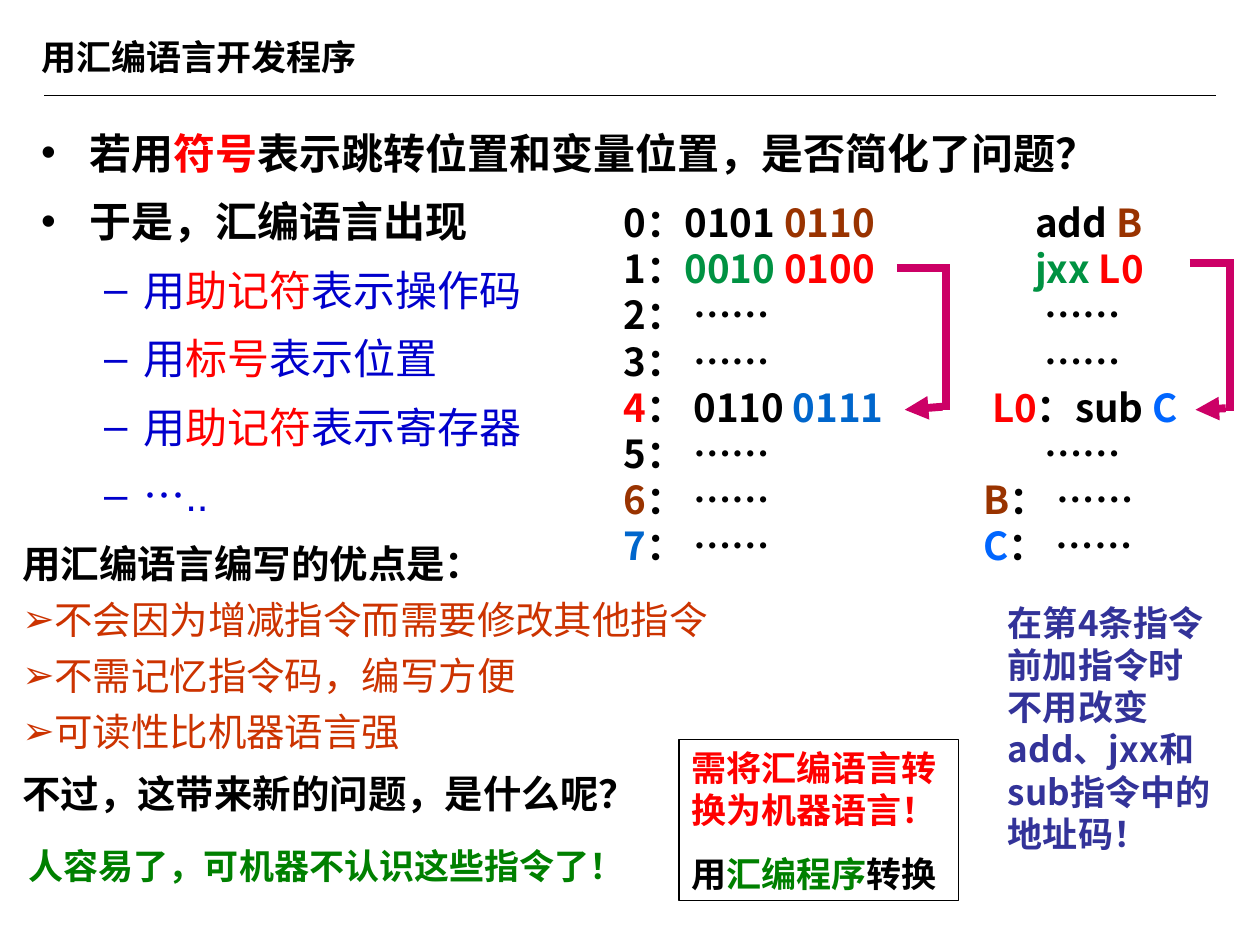
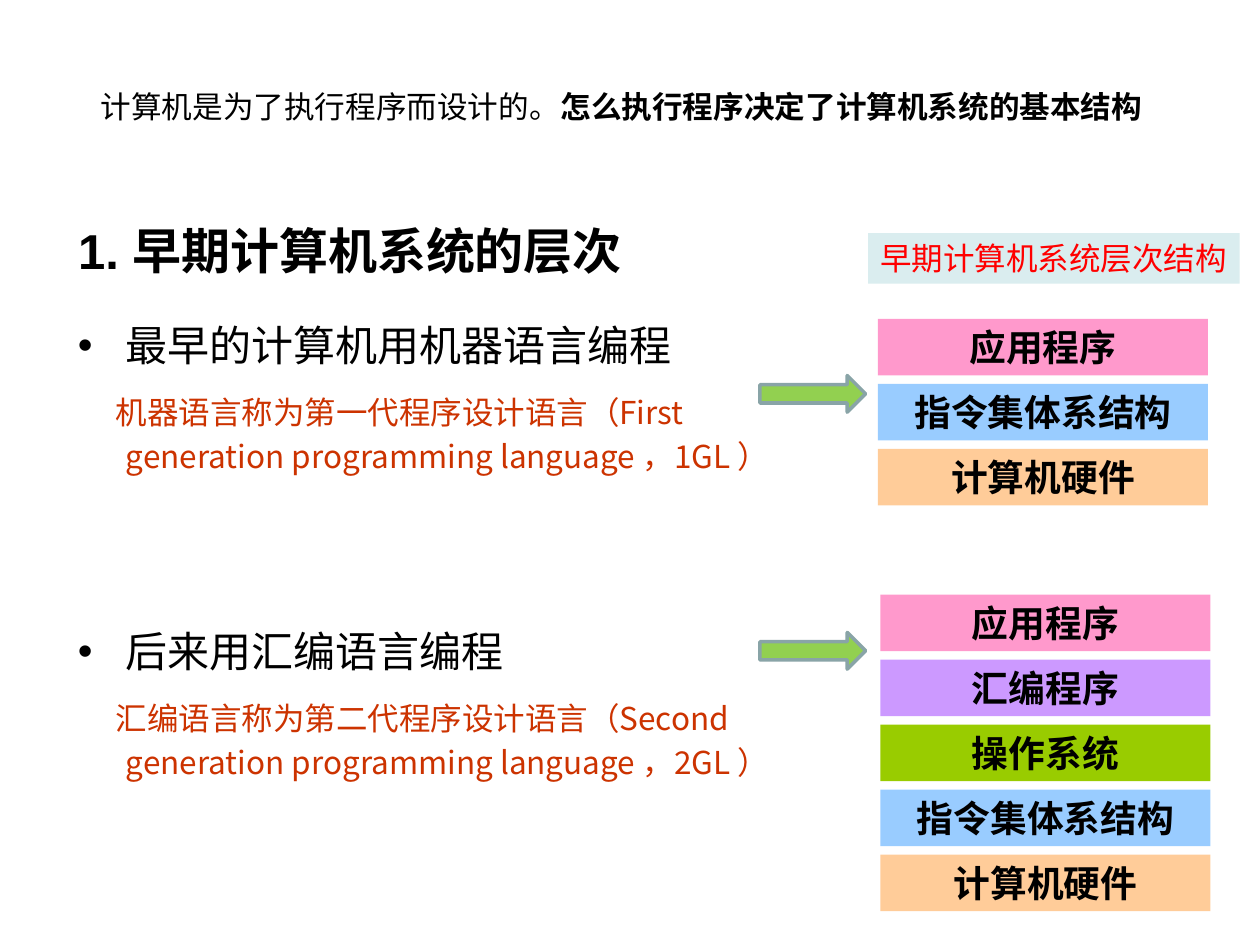
"""Build two slides on assembly language and the layers of early computer systems."""
from dataclasses import dataclass

from lxml.etree import SubElement
from pptx import Presentation
from pptx.dml.color import RGBColor
from pptx.enum.shapes import MSO_CONNECTOR, MSO_SHAPE
from pptx.enum.text import MSO_ANCHOR, MSO_AUTO_SIZE, PP_ALIGN
from pptx.oxml.ns import qn
from pptx.util import Cm, Pt


@dataclass(frozen=True)
class Theme:
    latin: str = "Arial"
    cjk: str = "Noto Sans CJK SC"
    black: str = "000000"
    white: str = "FFFFFF"
    red: str = "FF0000"
    blue: str = "0000CC"
    brown: str = "993300"
    rust: str = "CC3300"
    opcode: str = "009242"
    green: str = "008000"
    address: str = "0066CC"
    variable: str = "0066FF"
    indigo: str = "333399"
    jump: str = "CC0066"
    application: str = "FF99CC"
    instruction_set: str = "99CCFF"
    hardware: str = "FFCC99"
    assembler: str = "CC99FF"
    system: str = "99CC00"
    tag: str = "DAEDEF"
    arrow: str = "92D050"
    arrow_edge: str = "89A4A7"
    heading: float = 28
    body: float = 24
    code: float = 22
    layer: float = 21
    note: float = 20
    small: float = 18
    banner: float = 17.5


theme = Theme()


def write(frame, lines, size, bold=True, font=theme.latin, margin=0, hang=0,
          bullet="", spacing=1.0, before=0, align=PP_ALIGN.LEFT):
    """Append lines, each a list of (text, colour) spans, in one paragraph style."""
    for spans in lines:
        first = not frame.paragraphs[0].runs
        para = frame.paragraphs[0] if first else frame.add_paragraph()
        properties = para._p.get_or_add_pPr()
        properties.set("marL", str(Cm(margin)))
        properties.set("indent", str(Cm(-hang)))
        if bullet:
            colour = SubElement(properties, qn("a:buClr"))
            SubElement(colour, qn("a:srgbClr"), val=spans[0][1])
            SubElement(properties, qn("a:buFont"), typeface=theme.latin)
            SubElement(properties, qn("a:buChar"), char=bullet)
        para.alignment = align
        para.line_spacing = spacing
        para.space_before = Pt(0 if first else before)
        for text, colour in spans:
            span = para.add_run()
            span.text = text
            span.font.size = Pt(size)
            span.font.bold = bold
            span.font.name = font
            span.font.color.rgb = RGBColor.from_string(colour)
            SubElement(span._r.get_or_add_rPr(), qn("a:ea"), typeface=theme.cjk)


def add_box(page, left, top, width, height, kind=None, fill=None, edge=None, edge_width=0.75):
    """Add a text box, or a preset shape when a kind is given, and return its text frame."""
    place = Cm(left), Cm(top), Cm(width), Cm(height)
    if kind is None:
        box = page.shapes.add_textbox(*place)
    else:
        box = page.shapes.add_shape(kind, *place)
        box.shadow.inherit = False
        box.text_frame.vertical_anchor = MSO_ANCHOR.MIDDLE
        if fill:
            box.fill.solid()
            box.fill.fore_color.rgb = RGBColor.from_string(fill)
        else:
            box.fill.background()
        if edge:
            box.line.color.rgb = RGBColor.from_string(edge)
            box.line.width = Pt(edge_width)
        else:
            box.line.fill.background()
    box.text_frame.word_wrap = True
    return box.text_frame


deck = Presentation()
deck.slide_width, deck.slide_height = Cm(25.4), Cm(19.05)

titles = [
    ("用汇编语言开发程序", theme.note, 0.8, (0.58, 0.64, 22.86, 1.17)),
    ("1. 早期计算机系统的层次", theme.heading, 1.0, (1.32, 4.27, 22.86, 1.55)),
]
pages = []
for text, size, spacing, place in titles:
    page = deck.slides.add_slide(deck.slide_layouts[5])
    title = page.shapes.title
    title.left, title.top, title.width, title.height = map(Cm, place)
    title.text_frame.auto_size = MSO_AUTO_SIZE.NONE
    title.text_frame.vertical_anchor = MSO_ANCHOR.MIDDLE
    write(title.text_frame, [[(text, theme.black)]], size, spacing=spacing)
    pages.append(page)
assembly_page, layers_page = pages

points = add_box(assembly_page, 0.58, 2.29, 22.63, 13.79)
write(points, [
    [("若用", theme.black), ("符号", theme.red),
     ("表示跳转位置和变量位置，是否简化了问题？", theme.black)],
    [("于是，汇编语言出现", theme.black)],
], theme.body, margin=0.97, hang=0.97, bullet="•", spacing=1.15, before=6)
symbols = [("助记符", "表示操作码"), ("标号", "表示位置"), ("助记符", "表示寄存器")]
symbol_lines = [[("用", theme.blue), (symbol, theme.red), (use, theme.blue)]
                for symbol, use in symbols]
write(points, symbol_lines + [[("…", theme.blue), ("..", theme.blue)]], theme.body, bold=False,
      margin=2.06, hang=0.79, bullet="–", spacing=1.15, before=6)
points.paragraphs[-1].runs[0].font.name = theme.cjk

machine_code = add_box(assembly_page, 12.32, 3.89, 6.73, 7.72)
write(machine_code, [
    [("0：0101 ", theme.black), ("0110", theme.brown)],
    [("1：", theme.black), ("0010 ", theme.opcode), ("0100", theme.red)],
    [("2： ……", theme.black)],
    [("3： ……", theme.black)],
    [("4", theme.red), ("： 0110 ", theme.black), ("0111", theme.address)],
    [("5： ……", theme.black)],
    [("6", theme.brown), ("： ……", theme.black)],
    [("7", theme.address), ("： ……", theme.black)],
], theme.code, font=theme.cjk)

assembly_code = add_box(assembly_page, 19.58, 3.89, 5.21, 7.72)
dots = [("……", theme.black)]
for margin, line in [
    (1.04, [("add ", theme.black), ("B", theme.brown)]),
    (1.04, [("jxx ", theme.opcode), ("L0", theme.red)]),
    (1.22, dots),
    (1.22, dots),
    (0.17, [("L0", theme.red), ("：sub ", theme.black), ("C", theme.variable)]),
    (1.22, dots),
    (0, [("B", theme.brown), ("： ……", theme.black)]),
    (0, [("C", theme.variable), ("： ……", theme.black)]),
]:
    write(assembly_code, [line], theme.code, font=theme.cjk, margin=margin)

for start, end, colour, width, arrow in [
    ((0.89, 1.93), (24.51, 1.93), theme.black, 0.75, False),
    ((18.08, 5.41), (19.15, 5.41), theme.jump, 4.5, False),
    ((19.08, 5.38), (19.08, 8.26), theme.jump, 4.5, False),
    ((19.0, 8.2), (18.24, 8.26), theme.jump, 4.5, True),
    ((23.98, 5.31), (24.87, 5.31), theme.jump, 4.5, False),
    ((24.79, 5.28), (24.79, 8.28), theme.jump, 4.5, False),
    ((24.71, 8.23), (24.1, 8.26), theme.jump, 4.5, True),
]:
    line = assembly_page.shapes.add_connector(
        MSO_CONNECTOR.STRAIGHT, *map(Cm, start), *map(Cm, end))
    line.line.color.rgb = RGBColor.from_string(colour)
    line.line.width = Pt(width)
    if arrow:
        SubElement(line.line._get_or_add_ln(), qn("a:tailEnd"), type="triangle")
    SubElement(line._element.spPr, qn("a:effectLst"))

address_note = add_box(assembly_page, 20.07, 12.01, 4.62, 5.33)
write(address_note, [[("在第4条指令前加指令时不用改变add、jxx和sub指令中的地址码！", theme.indigo)]],
      theme.note, font=theme.cjk)

benefits = add_box(assembly_page, 0.2, 10.77, 14.88, 4.57)
write(benefits, [[("用汇编语言编写的优点是：", theme.black)]], theme.code)
write(benefits, [[(benefit, theme.rust)] for benefit in (
    "不会因为增减指令而需要修改其他指令", "不需记忆指令码，编写方便", "可读性比机器语言强")],
    theme.code, bold=False, bullet="➢", before=5.5)

question = add_box(assembly_page, 0.2, 15.39, 13.61, 1.19)
write(question, [[("不过，这带来新的问题，是什么呢？", theme.black)]], theme.code)
answer = add_box(assembly_page, 0.33, 16.89, 12.75, 1.12)
write(answer, [[("人容易了，可机器不认识这些指令了！", theme.green)]], theme.note)

solution = add_box(assembly_page, 13.69, 14.91, 5.64, 3.25, MSO_SHAPE.RECTANGLE, edge=theme.black)
solution.margin_right = 0
write(solution, [
    [("需将汇编语言转换为机器语言！", theme.red)],
    [("用", theme.black), ("汇编程序", theme.green), ("转换", theme.black)],
], theme.note, before=12.5)

banner = add_box(layers_page, 0.81, 0.99, 24.1, 2.08, MSO_SHAPE.RECTANGLE, theme.white)
write(banner, [[("计算机是为了执行程序而设计的。", theme.black),
                ("怎么执行程序决定了计算机系统的基本结构", theme.black)]],
      theme.banner, bold=False, font=theme.cjk, margin=0.97, spacing=1.3)
banner.paragraphs[0].runs[1].font.bold = True

generations = add_box(layers_page, 1.32, 6.17, 15.65, 12.19)
for point, detail in [
    ("最早的计算机用机器语言编程",
     "机器语言称为第一代程序设计语言（First generation programming language ，1GL ）"),
    ("后来用汇编语言编程",
     "汇编语言称为第二代程序设计语言（Second generation programming language ，2GL ）"),
]:
    write(generations, [[(point, theme.black)]], theme.body, bold=False, font=theme.cjk,
          margin=0.97, hang=0.97, bullet="•", spacing=1.15, before=82)
    write(generations, [[(detail, theme.rust)]], theme.small, bold=False, font=theme.cjk,
          margin=0.97, hang=0.21, spacing=1.15, before=10)

tag = add_box(layers_page, 17.5, 4.7, 7.49, 1.02, MSO_SHAPE.RECTANGLE, theme.tag)
tag.word_wrap = False
write(tag, [[("早期计算机系统层次结构", theme.red)]], theme.small, bold=False)

application = ("应用程序", theme.application)
base = [("指令集体系结构", theme.instruction_set), ("计算机硬件", theme.hardware)]
software = [("汇编程序", theme.assembler), ("操作系统", theme.system)]
for left, top, arrow_top, layers in [
    (17.7, 6.43, 7.57, [application] + base),
    (17.75, 11.99, 12.75, [application] + software + base),
]:
    for row, (name, fill) in enumerate(layers):
        layer = add_box(layers_page, left, top + row * 1.31, 6.65, 1.14,
                        MSO_SHAPE.RECTANGLE, fill)
        write(layer, [[(name, theme.black)]], theme.layer, align=PP_ALIGN.CENTER)
    add_box(layers_page, 15.32, arrow_top, 2.13, 0.74, MSO_SHAPE.RIGHT_ARROW,
            theme.arrow, theme.arrow_edge, 2)

deck.save("out.pptx")
